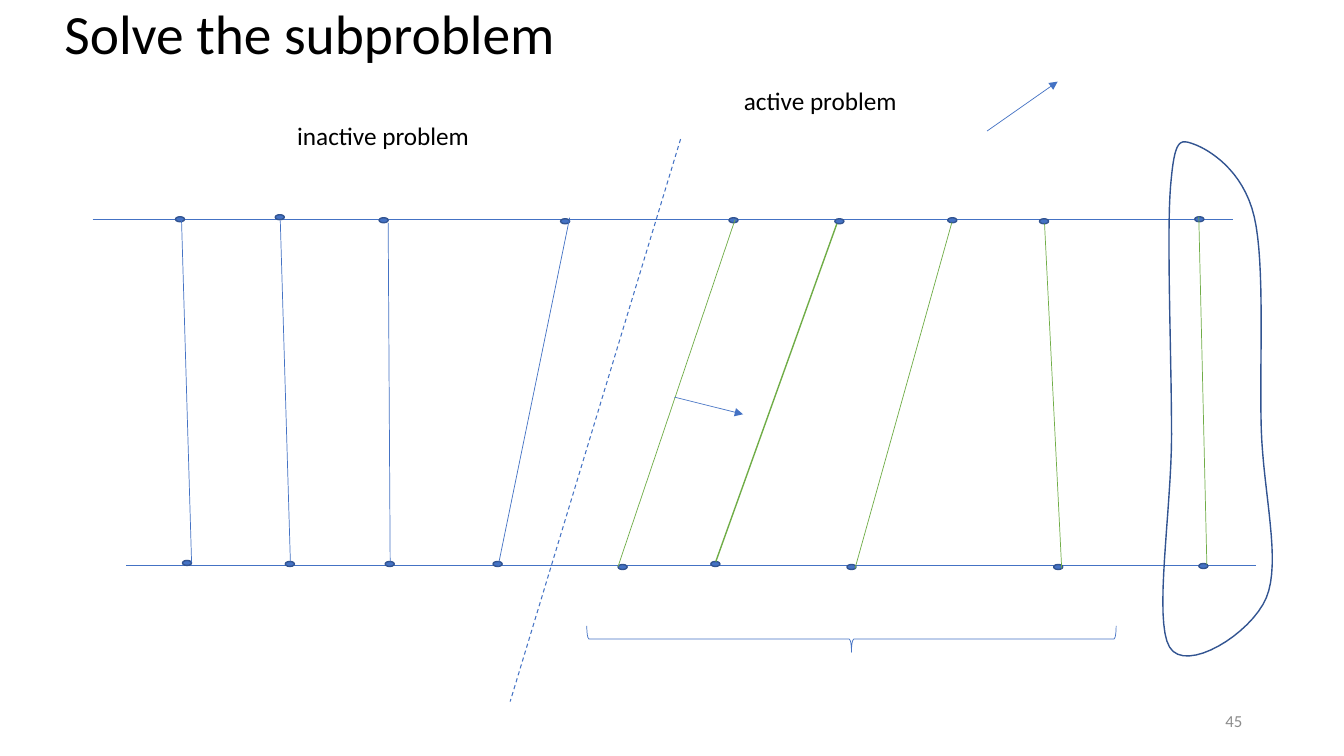
from lxml import etree
from pptx import Presentation
from pptx.dml.color import RGBColor
from pptx.enum.dml import MSO_LINE
from pptx.enum.shapes import MSO_CONNECTOR, MSO_SHAPE
from pptx.enum.text import MSO_ANCHOR, PP_ALIGN
from pptx.oxml.ns import qn
from pptx.util import Inches, Pt

STRAIGHT = MSO_CONNECTOR.STRAIGHT
OVAL, BRACE = MSO_SHAPE.OVAL, MSO_SHAPE.LEFT_BRACE
DASH = MSO_LINE.DASH
TOP, MIDDLE = MSO_ANCHOR.TOP, MSO_ANCHOR.MIDDLE
LEFT, RIGHT = PP_ALIGN.LEFT, PP_ALIGN.RIGHT

FONT = "Calibri"
COLORS = {"blue": "4472C4", "navy": "325491", "green": "70AD47",
          "text": "000000", "number": "8C8C8C"}

DOT_W, DOT_H = 0.09, 0.05
CURVE_STEPS = 16

# upper dot, lower dot, line start, line end, colour, width
PAIRS = [
    ((0.82, -0.03), (0.89, -0.05), (0.88, -0.01), (0.98, -0.03), "blue", 0.5),
    ((1.81, -0.05), (1.91, -0.04), (1.86, 0.01), (1.96, -0.04), "blue", 0.5),
    ((2.84, -0.02), (2.9, -0.04), (2.93, 0.03), (2.95, -0.04), "blue", 0.5),
    ((4.64, -0.01), (3.97, -0.04), (4.73, -0.02), (4.02, 0.01), "blue", 0.5),
    ((6.31, -0.02), (5.21, -0.01), (6.37, 0), (5.21, 0.01), "green", 0.5),
    ((7.36, -0.01), (6.13, -0.04), (7.38, 0.04), (6.18, -0.04), "green", 1),
    ((8.48, -0.02), (7.48, -0.01), (8.52, 0.03), (7.56, 0.03), "green", 0.5),
    ((9.39, -0.01), (9.53, -0.01), (9.44, 0.04), (9.61, 0.03), "green", 0.5),
    ((10.93, -0.03), (10.97, -0.02), (10.97, -0.03), (11.05, -0.01), "green", 0.5),
]

LOOP_START = (0.31, 0.02)
LOOP_CURVES = [
    ((0.17, -0.03), (0.12, -0.04), (0.08, 0.44)),
    ((0.04, 0.92), (0.09, 2.14), (0.09, 2.9)),
    ((0.09, 3.66), (-0.09, 4.74), (0.07, 5.01)),
    ((0.23, 5.28), (0.88, 4.88), (1.03, 4.52)),
    ((1.18, 4.16), (1, 3.48), (0.98, 2.85)),
    ((0.96, 2.22), (1.02, 1.21), (0.91, 0.74)),
    ((0.8, 0.27), (0.45, 0.07), LOOP_START),
]


def rgb(name):
    return RGBColor.from_string(COLORS[name])


def add_text(s, box, text, size, color="text", align=LEFT, anchor=TOP, wrap=True):
    tf = s.shapes.add_textbox(*map(Inches, box)).text_frame
    tf.word_wrap = wrap
    tf.vertical_anchor = anchor
    p = tf.paragraphs[0]
    p.alignment = align
    r = p.add_run()
    r.text = text
    r.font.name = FONT
    r.font.size = Pt(size)
    r.font.color.rgb = rgb(color)
    return p


def add_line(s, start, end, color="blue", width=0.5, dash=None, arrow=False):
    c = s.shapes.add_connector(STRAIGHT, *map(Inches, (*start, *end)))
    c.line.color.rgb = rgb(color)
    c.line.width = Pt(width)
    if dash:
        c.line.dash_style = dash
    if arrow:
        etree.SubElement(c.line._get_or_add_ln(), qn("a:tailEnd"), type="triangle")
    etree.SubElement(c._element.spPr, qn("a:effectLst"))


def style_shape(sp, line, width, fill=None):
    sp.shadow.inherit = False
    if fill:
        sp.fill.solid()
        sp.fill.fore_color.rgb = rgb(fill)
    else:
        sp.fill.background()
    sp.line.color.rgb = rgb(line)
    sp.line.width = Pt(width)


def add_dot(s, x, y):
    sp = s.shapes.add_shape(OVAL, *map(Inches, (x, y, DOT_W, DOT_H)))
    style_shape(sp, "navy", 1, "blue")


def add_matching(s, x, y, w, h):
    add_line(s, (x, y), (x + w - 0.23, y))
    add_line(s, (x + 0.33, y + h), (x + w, y + h))
    for upper, lower, start, end, color, width in PAIRS:
        add_dot(s, x + upper[0], y + upper[1])
        add_dot(s, x + lower[0], y + h + lower[1])
        add_line(s, (x + start[0], y + start[1]),
                 (x + end[0], y + h + end[1]), color, width)


def add_divider(s, x, y, w, h):
    add_line(s, (x + w, y), (x, y + h), width=0.75, dash=DASH)
    add_line(s, (x + 1.63, y + 2.56), (x + 2.31, y + 2.73), arrow=True)


def add_loop(s, x, y):
    points = []
    p0 = LOOP_START
    for p1, p2, p3 in LOOP_CURVES:
        for step in range(1, CURVE_STEPS + 1):
            t = step / CURVE_STEPS
            u = 1 - t
            px, py = (u**3 * a + 3 * u * u * t * b + 3 * u * t * t * c + t**3 * d
                      for a, b, c, d in zip(p0, p1, p2, p3))
            points.append((Inches(x + px), Inches(y + py)))
        p0 = p3
    fb = s.shapes.build_freeform(*points[-1])
    fb.add_line_segments(points[:-1], close=True)
    style_shape(fb.convert_to_shape(), "navy", 1)


def add_brace(s, x, y, w, h):
    sp = s.shapes.add_shape(BRACE, Inches(x + (w - h) / 2), Inches(y + (h - w) / 2),
                            Inches(h), Inches(w))
    sp.rotation = 270
    style_shape(sp, "blue", 0.5)


def add_labels(s, x, y):
    add_text(s, (x, y + 0.34, 1.93, 0.4), "inactive problem", 18, wrap=False)
    add_text(s, (x + 4.43, y, 1.8, 0.4), "active problem", 18, wrap=False)
    add_line(s, (x + 6.94, y + 0.5), (x + 7.64, y + 0.01), arrow=True)


def main():
    prs = Presentation()
    prs.slide_width, prs.slide_height = Inches(13.33), Inches(7.5)
    s = prs.slides.add_slide(prs.slide_layouts[6])
    title = add_text(s, (0.54, 0.09, 6.9, 0.55), "Solve the subproblem", 39.6, anchor=MIDDLE)
    title.line_spacing = 0.9
    add_matching(s, 0.92, 2.18, 11.54, 3.43)
    add_divider(s, 5.06, 1.38, 1.69, 5.58)
    add_labels(s, 2.85, 0.8)
    add_loop(s, 11.53, 1.41)
    add_brace(s, 5.82, 6.21, 5.25, 0.26)
    add_text(s, (9.42, 6.95, 3, 0.4), "45", 12, "number", RIGHT, MIDDLE)
    prs.save("out.pptx")


if __name__ == "__main__":
    main()
